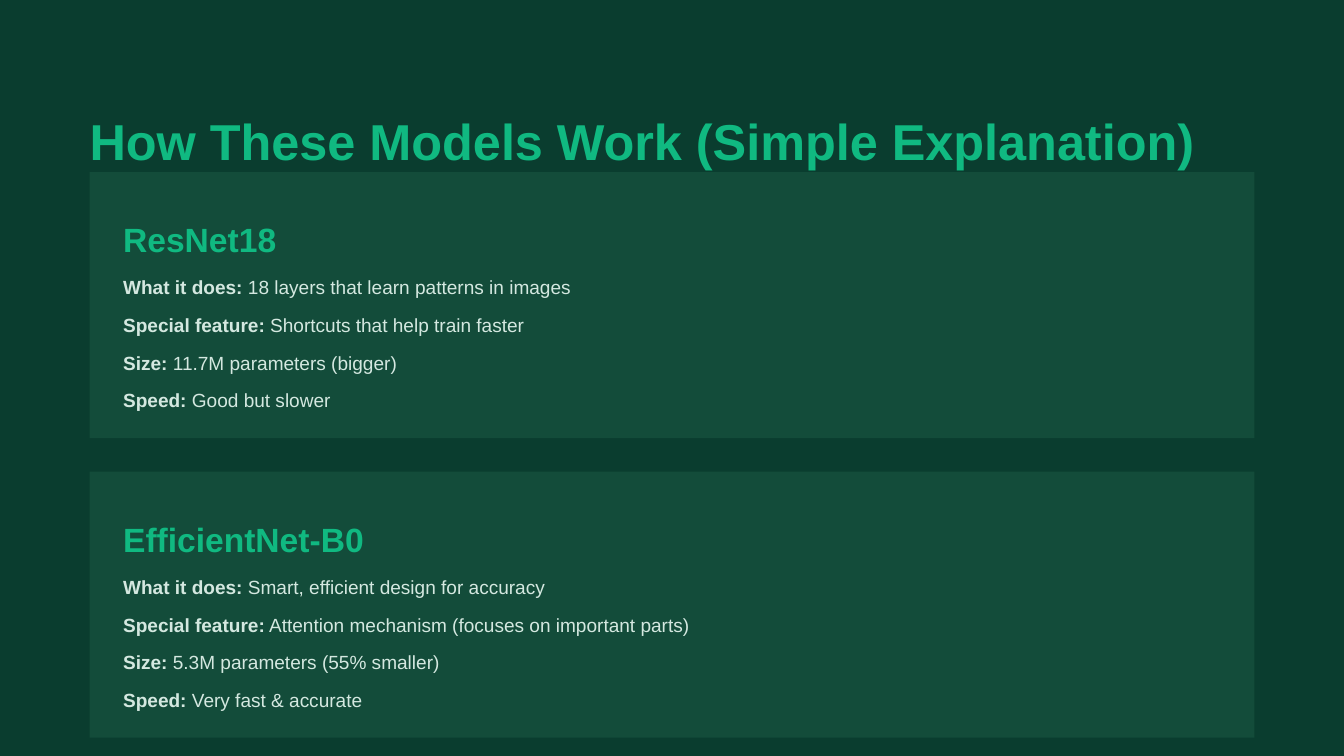
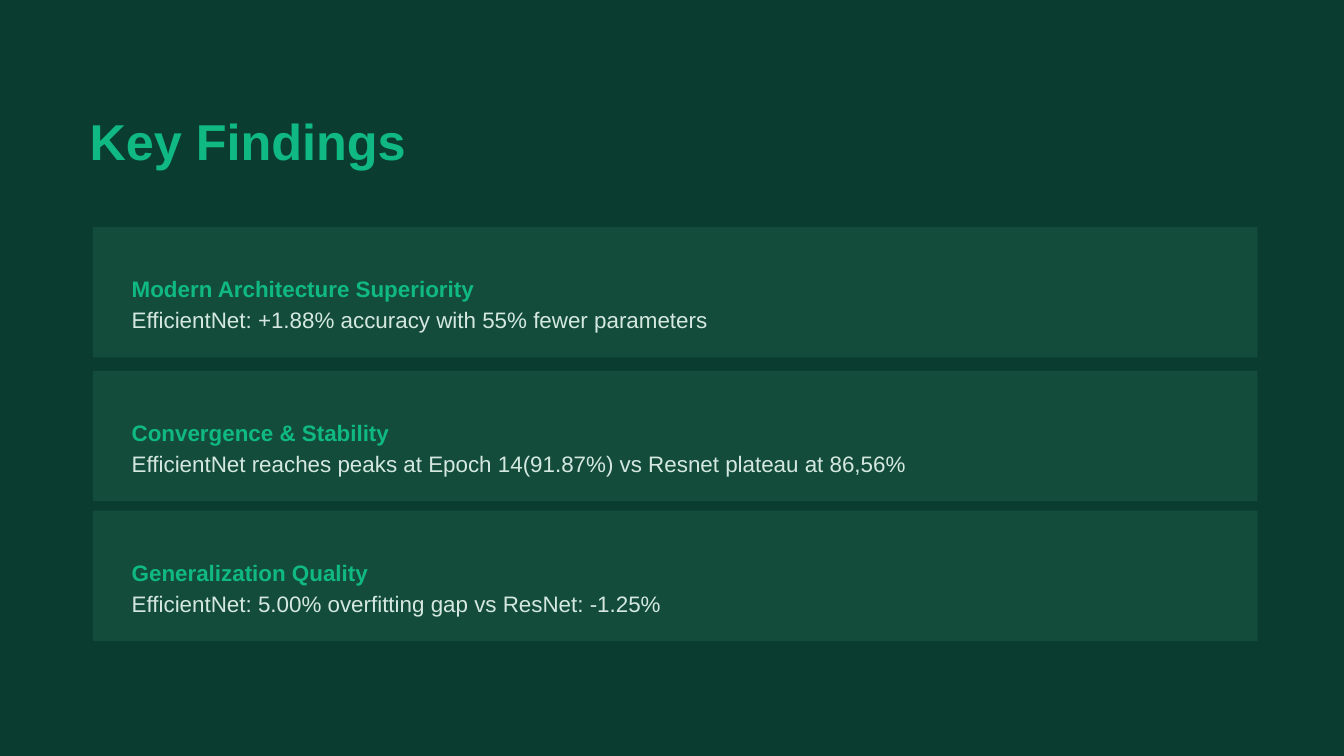
from pptx import Presentation
from pptx.dml.color import RGBColor
from pptx.enum.shapes import MSO_SHAPE
from pptx.enum.text import MSO_ANCHOR, MSO_AUTO_SIZE, PP_ALIGN
from pptx.util import Inches, Pt

RECTANGLE = MSO_SHAPE.RECTANGLE
TOP = MSO_ANCHOR.TOP
NO_FIT = MSO_AUTO_SIZE.NONE
LEFT = PP_ALIGN.LEFT

MODELS_TITLE = "How These Models Work (Simple Explanation)"
MODELS = [
    ("ResNet18", [
        ("What it does:", "18 layers that learn patterns in images"),
        ("Special feature:", "Shortcuts that help train faster"),
        ("Size:", "11.7M parameters (bigger)"),
        ("Speed:", "Good but slower"),
    ]),
    ("EfficientNet-B0", [
        ("What it does:", "Smart, efficient design for accuracy"),
        ("Special feature:", "Attention mechanism (focuses on important parts)"),
        ("Size:", "5.3M parameters (55% smaller)"),
        ("Speed:", "Very fast & accurate"),
    ]),
]
FINDINGS_TITLE = "Key Findings"
FINDINGS = [
    (1.69, "Modern Architecture Superiority",
     "EfficientNet: +1.88% accuracy with 55% fewer parameters"),
    (2.76, "Convergence & Stability",
     "EfficientNet reaches peaks at Epoch 14(91.87%) vs Resnet plateau at 86,56%"),
    (3.8, "Generalization Quality",
     "EfficientNet: 5.00% overfitting gap vs ResNet: -1.25%"),
]

BACKGROUND, CARD, ACCENT, BODY = "0A3D2F", "134C3A", "10B981", "D4E8E0"
FONT = "Arial"
SLIDE_WIDTH = 10
SLIDE_HEIGHT = SLIDE_WIDTH * 9 / 16
MARGIN = SLIDE_WIDTH / 15
CARD_WIDTH = SLIDE_WIDTH - 2 * MARGIN
PADDING = 0.25
MODEL_TOP, MODEL_HEIGHT, MODEL_PITCH = 1.28, 1.98, 2.23
FACT_OFFSET, FACT_PITCH = 0.68, 0.28
FINDING_LEFT, FINDING_HEIGHT, FINDING_INDENT = 0.69, 0.97, 0.29


def color(value):
    return RGBColor.from_string(value)


def write(holder, text, *, size, leading, fill=BODY, bold=False, label=""):
    frame = holder.text_frame
    frame.word_wrap = True
    frame.auto_size = NO_FIT
    frame.vertical_anchor = TOP
    frame.margin_left = frame.margin_right = 0
    frame.margin_top = frame.margin_bottom = 0
    paragraph = frame.paragraphs[0]
    paragraph.alignment = LEFT
    paragraph.line_spacing = Pt(leading)
    pieces = [(label, True), (f" {text}", bold)] if label else [(text, bold)]
    for words, heavy in pieces:
        run = paragraph.add_run()
        run.text = words
        run.font.name = FONT
        run.font.size = Pt(size)
        run.font.bold = heavy
        run.font.color.rgb = color(fill)


def add_line(slide, left, top, width, height, text, **style):
    box = slide.shapes.add_textbox(*map(Inches, (left, top, width, height)))
    write(box, text, **style)


def add_card(slide, left, top, height):
    card = slide.shapes.add_shape(
        RECTANGLE, *map(Inches, (left, top, CARD_WIDTH, height)))
    card.shadow.inherit = False
    card.fill.solid()
    card.fill.fore_color.rgb = color(CARD)
    card.line.fill.background()


def add_slide(deck, heading):
    slide = deck.slides.add_slide(deck.slide_layouts.get_by_name("Title Only"))
    title = slide.shapes.title
    title.left, title.top, title.width, title.height = map(
        Inches, (MARGIN, MARGIN, 8.84, 0.45))
    write(title, heading, size=27, leading=43.2, fill=ACCENT, bold=True)
    return slide


def build_models(deck):
    slide = add_slide(deck, MODELS_TITLE)
    left, width = MARGIN + PADDING, 8.33
    for row, (model, facts) in enumerate(MODELS):
        top = MODEL_TOP + row * MODEL_PITCH
        add_card(slide, MARGIN, top, MODEL_HEIGHT)
        add_line(slide, left, top + PADDING, width, 0.3, model,
                 size=18, leading=28.8, fill=ACCENT, bold=True)
        for line, (label, fact) in enumerate(facts):
            add_line(slide, left, top + FACT_OFFSET + line * FACT_PITCH, width, 0.2,
                     fact, label=label, size=10.2, leading=19)


def build_findings(deck):
    slide = add_slide(deck, FINDINGS_TITLE)
    left, width, height = FINDING_LEFT + FINDING_INDENT, 8.29, 0.23
    for top, finding, evidence in FINDINGS:
        add_card(slide, FINDING_LEFT, top, FINDING_HEIGHT)
        add_line(slide, left, top + PADDING, width, height, finding,
                 size=12, leading=22.4, fill=ACCENT, bold=True)
        add_line(slide, left, top + PADDING + height, width, height, evidence,
                 size=12, leading=22.4)


def main():
    deck = Presentation()
    deck.slide_width, deck.slide_height = Inches(SLIDE_WIDTH), Inches(SLIDE_HEIGHT)
    backdrop = deck.slide_master.background.fill
    backdrop.solid()
    backdrop.fore_color.rgb = color(BACKGROUND)
    build_models(deck)
    build_findings(deck)
    deck.save("out.pptx")


if __name__ == "__main__":
    main()
